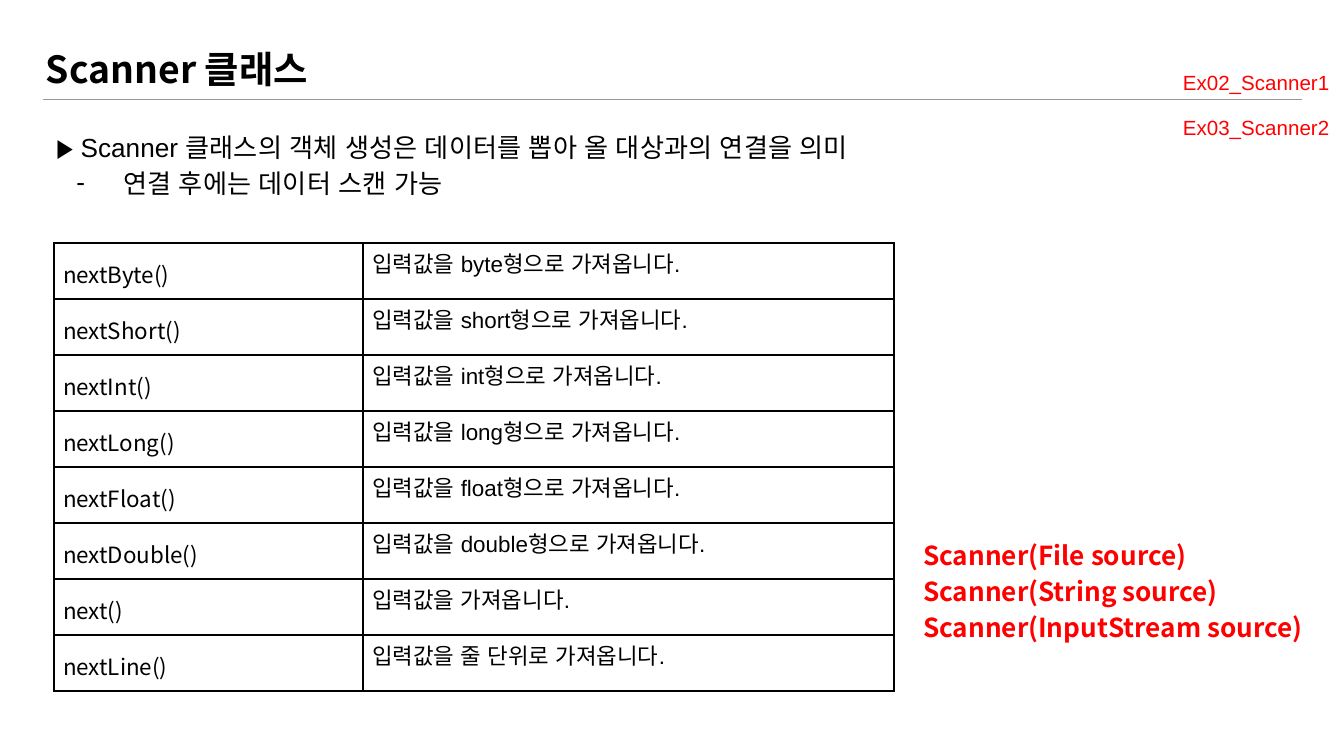
from lxml.etree import SubElement
from pptx import Presentation
from pptx.dml.color import RGBColor
from pptx.enum.shapes import MSO_CONNECTOR
from pptx.enum.text import MSO_ANCHOR, MSO_AUTO_SIZE, PP_ALIGN
from pptx.oxml.ns import qn
from pptx.util import Pt

BLACK = RGBColor(0, 0, 0)
RED = RGBColor(255, 0, 0)
GRAY = RGBColor(0x99, 0x99, 0x99)
ARIAL = "Arial"
NOTO = "Noto Sans CJK KR"

TITLE = "Scanner 클래스"
BODY = [
    "▶ Scanner 클래스의 객체 생성은 데이터를 뽑아 올 대상과의 연결을 의미",
    "연결 후에는 데이터 스캔 가능",
]
CONSTRUCTORS = [
    "Scanner(File source)",
    "Scanner(String source)",
    "Scanner(InputStream source)",
]
EXAMPLES = ["Ex02_Scanner1", "Ex03_Scanner2"]
METHODS = [
    ("nextByte()", "입력값을 byte형으로 가져옵니다."),
    ("nextShort()", "입력값을 short형으로 가져옵니다."),
    ("nextInt()", "입력값을 int형으로 가져옵니다."),
    ("nextLong()", "입력값을 long형으로 가져옵니다."),
    ("nextFloat()", "입력값을 float형으로 가져옵니다."),
    ("nextDouble()", "입력값을 double형으로 가져옵니다."),
    ("next()", "입력값을 가져옵니다."),
    ("nextLine()", "입력값을 줄 단위로 가져옵니다."),
]
COLUMN_WIDTHS = [165.6, 284.4]
ROW_HEIGHT = 30


def write(frame, lines, size=12, font=ARIAL, color=BLACK, bold=False,
          align=PP_ALIGN.LEFT, spacing=1.15, inset=7.2):
    frame.word_wrap = True
    frame.margin_left = frame.margin_right = Pt(inset)
    frame.margin_top = frame.margin_bottom = Pt(inset)
    for index, line in enumerate(lines):
        para = frame.paragraphs[0] if index == 0 else frame.add_paragraph()
        para.alignment = align
        para.line_spacing = spacing
        span = para.add_run()
        span.text = line
        span.font.size = Pt(size)
        span.font.name = font
        span.font.bold = bold
        span.font.color.rgb = color
        SubElement(span.font._element, qn("a:ea"), typeface=font)


def add_text(page, lines, left, top, width, height, **style):
    box = page.shapes.add_textbox(Pt(left), Pt(top), Pt(width), Pt(height))
    write(box.text_frame, lines, **style)
    return box


def add_dash(para):
    properties = para._p.get_or_add_pPr()
    properties.set("marL", str(Pt(36)))
    properties.set("indent", str(Pt(-25.2)))
    color = SubElement(properties, qn("a:buClr"))
    SubElement(color, qn("a:srgbClr"), val=str(BLACK))
    SubElement(properties, qn("a:buFont"), typeface=ARIAL)
    SubElement(properties, qn("a:buChar"), char="-")


def add_borders(cell):
    properties = cell._tc.get_or_add_tcPr()
    for position, side in enumerate(("lnL", "lnR", "lnT", "lnB")):
        line = SubElement(properties, qn(f"a:{side}"), w=str(Pt(1)))
        fill = SubElement(line, qn("a:solidFill"))
        SubElement(fill, qn("a:srgbClr"), val=str(BLACK))
        properties.insert(position, line)


def add_methods(page):
    table = page.shapes.add_table(
        len(METHODS), len(COLUMN_WIDTHS), Pt(28.8), Pt(130.3),
        Pt(sum(COLUMN_WIDTHS)), Pt(ROW_HEIGHT * len(METHODS))).table
    table.first_row = table.horz_banding = False
    for column, width in zip(table.columns, COLUMN_WIDTHS):
        column.width = Pt(width)
    styles = [dict(font=NOTO), dict(font=ARIAL, spacing=1.0)]
    for row, texts in enumerate(METHODS):
        table.rows[row].height = Pt(ROW_HEIGHT)
        for column, (text, style) in enumerate(zip(texts, styles)):
            cell = table.cell(row, column)
            write(cell.text_frame, [text], **style)
            cell.margin_left = cell.margin_right = Pt(5)
            cell.margin_top = cell.margin_bottom = Pt(5)
            cell.fill.background()
            add_borders(cell)


def main():
    deck = Presentation()
    deck.slide_width, deck.slide_height = Pt(720), Pt(405)
    page = deck.slides.add_slide(deck.slide_layouts[5])

    title = page.shapes.title
    title.left, title.top = Pt(17.3), Pt(17.3)
    title.width, title.height = Pt(591.8), Pt(38.9)
    write(title.text_frame, [TITLE], size=20, font=NOTO, bold=True, spacing=1.0)
    title.text_frame.auto_size = MSO_AUTO_SIZE.NONE
    title.text_frame.vertical_anchor = MSO_ANCHOR.MIDDLE

    rule = page.shapes.add_connector(
        MSO_CONNECTOR.STRAIGHT, Pt(23), Pt(53.3), Pt(697.7), Pt(53.3))
    rule.line.color.rgb = GRAY
    rule.line.width = Pt(0.75)
    SubElement(rule._element.spPr, qn("a:effectLst"))

    add_text(page, CONSTRUCTORS, 487.4, 279.4, 221.8, 81.4,
             size=14, font=NOTO, color=RED, bold=True)
    body = add_text(page, BODY, 23, 60.5, 450, 81.4, size=14)
    add_dash(body.text_frame.paragraphs[1])
    add_methods(page)
    for index, example in enumerate(EXAMPLES):
        add_text(page, [example], 483.1, 28.1 + 24.5 * index, 236.2, 28.1,
                 size=11, color=RED, align=PP_ALIGN.RIGHT)
    deck.save("out.pptx")


if __name__ == "__main__":
    main()
